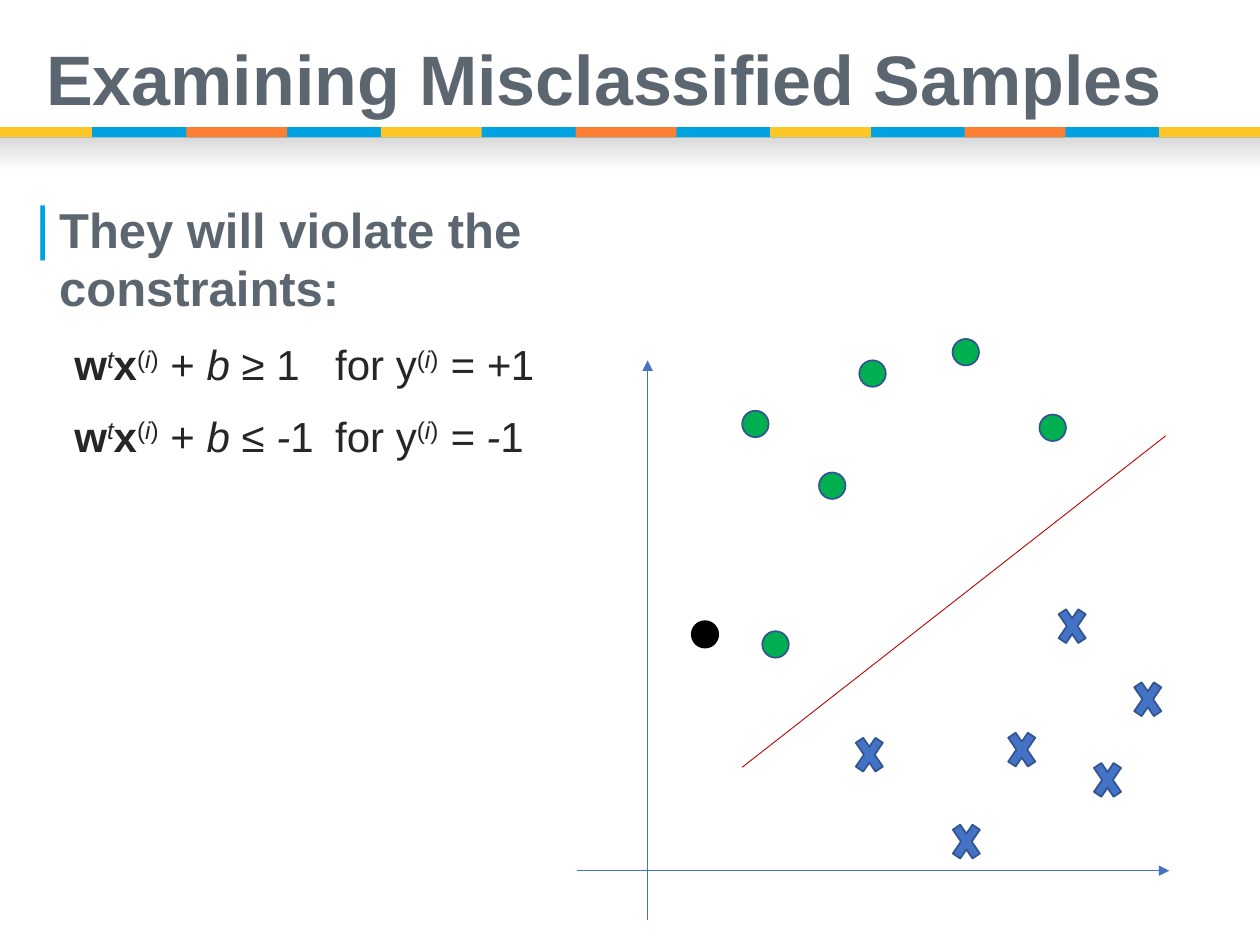
from dataclasses import dataclass

from lxml.etree import SubElement
from pptx import Presentation
from pptx.dml.color import RGBColor
from pptx.enum.shapes import MSO_CONNECTOR, MSO_SHAPE
from pptx.enum.text import MSO_ANCHOR
from pptx.oxml.ns import qn
from pptx.util import Inches, Pt

FONT = "Arial"
GREY, INK, BLACK = "5C6670", "262626", "000000"
SKY, GOLD, ORANGE = "00A2E0", "FFC627", "FF7F32"
AXIS_BLUE, OUTLINE_BLUE, GREEN, RED = "4472C4", "325491", "00B050", "C00000"


@dataclass(frozen=True)
class Piece:
    text: str
    bold: bool = False
    italic: bool = False
    raised: bool = False


@dataclass(frozen=True)
class Marker:
    shape: MSO_SHAPE
    width: float
    height: float
    fill: str
    line: str


CIRCLE = Marker(MSO_SHAPE.OVAL, 0.21, 0.21, GREEN, OUTLINE_BLUE)
BLACK_CIRCLE = Marker(MSO_SHAPE.OVAL, 0.21, 0.21, BLACK, BLACK)
CROSS = Marker(MSO_SHAPE.MATH_MULTIPLY, 0.3, 0.44, AXIS_BLUE, OUTLINE_BLUE)

CIRCLE_POSITIONS = [(6.05, 5.01), (8.25, 3.29), (5.89, 3.26),
                    (6.5, 3.75), (7.56, 2.69), (6.82, 2.86)]
CROSS_POSITIONS = [(7.96, 5.73), (8.96, 5.33), (7.52, 6.46),
                   (6.75, 5.77), (8.36, 4.75), (8.64, 5.97)]


def color(hex_value: str) -> RGBColor:
    return RGBColor.from_string(hex_value)


def add_bar(slide, left: float, top: float, width: float, height: float, fill: str):
    bar = slide.shapes.add_shape(MSO_SHAPE.RECTANGLE, Inches(left), Inches(top),
                                 Inches(width), Inches(height))
    bar.shadow.inherit = False
    bar.fill.solid()
    bar.fill.fore_color.rgb = color(fill)
    bar.line.fill.background()
    return bar


def add_header_band(slide) -> None:
    """Draw the coloured strip and the soft shade below it."""
    shade = add_bar(slide, 0, 1.09, 10, 0.27, "D9D9D9")
    shade.fill.gradient()
    shade.fill.gradient_angle = 270
    for stop, tone in zip(shade.fill.gradient_stops, ("D9D9D9", "FFFFFF")):
        stop.color.rgb = color(tone)
    add_bar(slide, 0, 1.01, 10, 0.08, SKY)
    add_bar(slide, 0, 1.01, 0.73, 0.08, GOLD)
    for index in range(6):
        fill = GOLD if index % 2 else ORANGE
        add_bar(slide, 1.48 + 1.544 * index, 1.01, 0.8, 0.08, fill)


def add_text_frame(slide, left: float, top: float, width: float, height: float,
                   side: float, edge: float):
    """Add a wrapping text box with the given side and top/bottom margins."""
    box = slide.shapes.add_textbox(Inches(left), Inches(top), Inches(width), Inches(height))
    frame = box.text_frame
    frame.word_wrap = True
    frame.margin_left = frame.margin_right = Inches(side)
    frame.margin_top = frame.margin_bottom = Inches(edge)
    return frame


def add_run(paragraph, piece: Piece, size: float, text_color: str) -> None:
    run = paragraph.add_run()
    run.text = piece.text
    font = run.font
    font.name, font.size = FONT, Pt(size)
    font.bold, font.italic = piece.bold, piece.italic
    font.color.rgb = color(text_color)
    if piece.raised:
        run._r.get_or_add_rPr().set("baseline", "30000")


def add_bar_bullet(paragraph) -> None:
    properties = paragraph._p.get_or_add_pPr()
    properties.set("marL", str(Inches(0.19)))
    properties.set("indent", str(-Inches(0.19)))
    bullet_color = SubElement(properties, qn("a:buClr"))
    SubElement(bullet_color, qn("a:srgbClr"), val=SKY)
    SubElement(properties, qn("a:buSzPct"), val="120000")
    SubElement(properties, qn("a:buFont"), typeface=FONT)
    SubElement(properties, qn("a:buChar"), char="|")


def add_tab_stop(paragraph, position: float) -> None:
    tabs = SubElement(paragraph._p.get_or_add_pPr(), qn("a:tabLst"))
    SubElement(tabs, qn("a:tab"), pos=str(Inches(position)), algn="l")


def constraint(relation: str, bound: str, sign: str) -> list[Piece]:
    """Build the pieces of one margin constraint and its class label."""
    index = [Piece("(", raised=True), Piece("i", italic=True, raised=True),
             Piece(")", raised=True)]
    return [Piece("w", bold=True), Piece("t", italic=True, raised=True),
            Piece("x", bold=True), *index, Piece(" +"),
            Piece(f" b {relation}", italic=True), Piece(f"{bound}\tfor y"),
            *index, Piece(f" = {sign}", italic=True), Piece("1")]


def add_line(slide, start: tuple[float, float], end: tuple[float, float],
             line_color: str, arrow: bool = False) -> None:
    connector = slide.shapes.add_connector(
        MSO_CONNECTOR.STRAIGHT, *(Inches(value) for value in (*start, *end)))
    connector.line.color.rgb = color(line_color)
    connector.line.width = Pt(0.5)
    if arrow:
        SubElement(connector.line._get_or_add_ln(), qn("a:tailEnd"), type="triangle")
    SubElement(connector._element.spPr, qn("a:effectLst"))


def add_marker(slide, marker: Marker, left: float, top: float) -> None:
    shape = slide.shapes.add_shape(marker.shape, Inches(left), Inches(top),
                                   Inches(marker.width), Inches(marker.height))
    shape.shadow.inherit = False
    shape.fill.solid()
    shape.fill.fore_color.rgb = color(marker.fill)
    shape.line.color.rgb = color(marker.line)
    shape.line.width = Pt(1)


def add_texts(slide) -> None:
    title = add_text_frame(slide, 0.27, 0.2, 9.87, 0.92, 0.1, 0.05)
    title.vertical_anchor = MSO_ANCHOR.MIDDLE
    title.paragraphs[0].line_spacing = 0.9
    add_run(title.paragraphs[0], Piece("Examining Misclassified Samples", bold=True), 40, GREY)

    body = add_text_frame(slide, 0.21, 1.54, 5.26, 2.92, 0.07, 0.04).paragraphs[0]
    body.space_before, body.space_after = Pt(18), Pt(4.5)
    add_bar_bullet(body)
    add_run(body, Piece("They will violate the constraints:", bold=True), 28, GREY)

    formulas = add_text_frame(slide, 0.52, 2.65, 4.33, 1.28, 0.07, 0.04)
    rows = [constraint("≥ ", "1", "+"), constraint("≤ -", "1", "-")]
    for row_number, pieces in enumerate(rows):
        paragraph = formulas.add_paragraph() if row_number else formulas.paragraphs[0]
        paragraph.space_before = paragraph.space_after = Pt(6)
        add_tab_stop(paragraph, 2.07)
        for piece in pieces:
            add_run(paragraph, piece, 24, INK)


def add_plot(slide) -> None:
    add_line(slide, (4.58, 6.91), (9.28, 6.91), AXIS_BLUE, arrow=True)
    add_line(slide, (5.14, 7.3), (5.14, 2.86), AXIS_BLUE, arrow=True)
    for left, top in CROSS_POSITIONS:
        add_marker(slide, CROSS, left, top)
    for left, top in CIRCLE_POSITIONS:
        add_marker(slide, CIRCLE, left, top)
    add_line(slide, (9.25, 3.46), (5.89, 6.09), RED)
    add_marker(slide, BLACK_CIRCLE, 5.49, 4.93)


def main() -> None:
    presentation = Presentation()
    presentation.slide_width, presentation.slide_height = Inches(10), Inches(7.5)
    slide = presentation.slides.add_slide(presentation.slide_layouts[6])
    add_header_band(slide)
    add_texts(slide)
    add_plot(slide)
    presentation.save("out.pptx")


if __name__ == "__main__":
    main()
